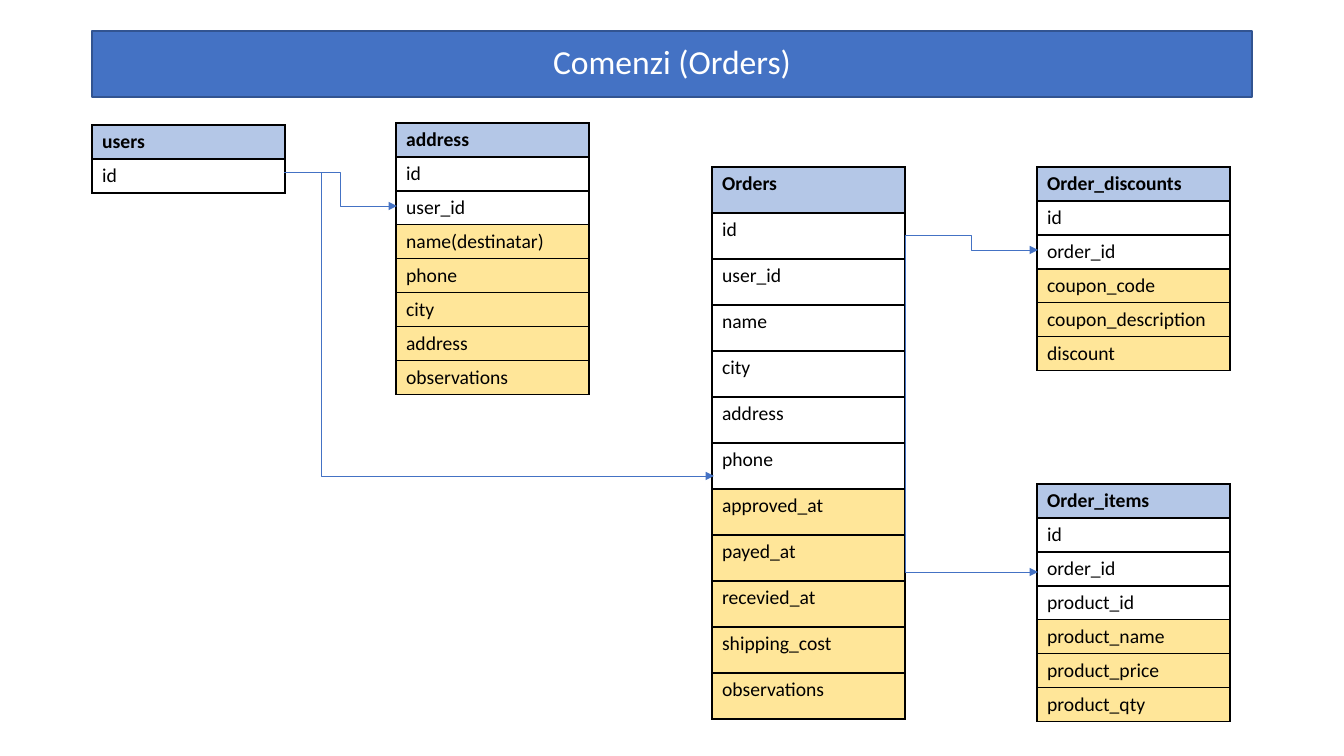
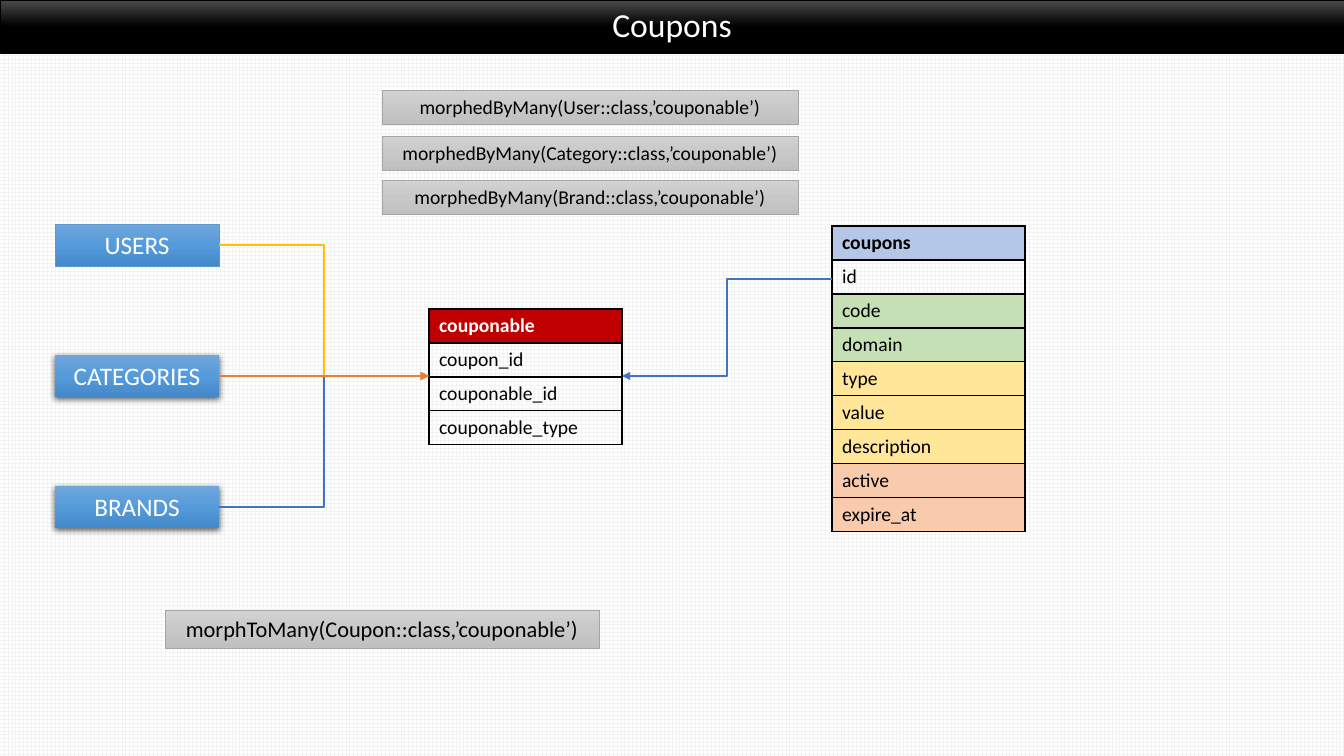
from copy import deepcopy
from lxml.etree import SubElement
from pptx import Presentation
from pptx.dml.color import RGBColor
from pptx.enum.dml import MSO_PATTERN
from pptx.enum.shapes import MSO_CONNECTOR, MSO_SHAPE
from pptx.enum.text import MSO_ANCHOR, MSO_AUTO_SIZE, PP_ALIGN
from pptx.oxml import parse_xml
from pptx.oxml.ns import nsdecls, qn
from pptx.util import Pt

PIXEL = 914400 / 100.8
FONT = "Calibri"
WHITE = RGBColor(0xFF, 0xFF, 0xFF)
BLACK = RGBColor(0x00, 0x00, 0x00)
GRID = RGBColor(0xF2, 0xF2, 0xF2)
BLUE = RGBColor(0x44, 0x72, 0xC4)
DARK_BLUE = RGBColor(0x32, 0x54, 0x91)
PALE_BLUE = RGBColor(0xB4, 0xC7, 0xE7)
SKY = RGBColor(0x5B, 0x9B, 0xD5)
YELLOW = RGBColor(0xFF, 0xE6, 0x99)
GREEN = RGBColor(0xC5, 0xE0, 0xB4)
PEACH = RGBColor(0xF8, 0xCB, 0xAD)
RED = RGBColor(0xC0, 0x00, 0x00)
GOLD = RGBColor(0xFF, 0xC0, 0x00)
ORANGE = RGBColor(0xED, 0x7D, 0x31)
GRAY = RGBColor(0xA5, 0xA5, 0xA5)
BLACK_FADE = (RGBColor(0x4B, 0x4B, 0x4B), BLACK, BLACK)
BLUE_FADE = (RGBColor(0x71, 0xA6, 0xDB), RGBColor(0x55, 0x9B, 0xDB), RGBColor(0x44, 0x8A, 0xCA))
GRAY_FADE = (RGBColor(0xD2, 0xD2, 0xD2), RGBColor(0xC8, 0xC8, 0xC8), RGBColor(0xC0, 0xC0, 0xC0))

ROW = 34
TABLE_WIDTH = 193

ORDER_TABLES = [
    (712, 167, 46, "Orders", [
        (None, ["id", "user_id", "name", "city", "address", "phone"]),
        (YELLOW, ["approved_at", "payed_at", "recevied_at", "shipping_cost", "observations"])]),
    (1037, 484, ROW, "Order_items", [
        (None, ["id", "order_id", "product_id"]),
        (YELLOW, ["product_name", "product_price", "product_qty"])]),
    (92, 125, ROW, "users", [(None, ["id"])]),
    (396, 123, ROW, "address", [
        (None, ["id", "user_id"]),
        (YELLOW, ["name(destinatar)", "phone", "city", "address", "observations"])]),
    (1037, 167, ROW, "Order_discounts", [
        (None, ["id", "order_id"]),
        (YELLOW, ["coupon_code", "coupon_description", "discount"])]),
]
ORDER_LINKS = [
    ((284, 172), (397, 206), 50000),
    ((284, 172), (714, 476), 8700),
    ((905, 235), (1038, 250), 50000),
    ((905, 236), (1038, 572), 0),
]

COUPON_TABLE = (832, 226, ROW, "coupons", [
    (None, ["id"]),
    (GREEN, ["code", "domain"]),
    (YELLOW, ["type", "value", "description"]),
    (PEACH, ["active", "expire_at"])])
PIVOT_TABLE = (429, 309, ROW, "couponable", [
    (None, ["coupon_id", "couponable_id", "couponable_type"])])
OWNERS = ["USERS", "CATEGORIES", "BRANDS"]
OWNER_LEFT, OWNER_TOP, OWNER_STEP = 55, 224, 131
OWNER_WIDTH, OWNER_HEIGHT = 164, 42
PIVOT_Y = 376
COUPON_LINKS = [
    ((219, 507), (429, PIVOT_Y), BLUE),
    ((219, 245), (429, PIVOT_Y), GOLD),
    ((832, 279), (622, PIVOT_Y), BLUE),
]
RELATIONS = [
    (165, 610, 434, 38, 16, "morphToMany(Coupon::class,’couponable’)"),
    (382, 90, 416, 34, 14, "morphedByMany(User::class,’couponable’)"),
    (382, 136, 416, 34, 14, "morphedByMany(Category::class,’couponable’)"),
    (382, 180, 416, 34, 14, "morphedByMany(Brand::class,’couponable’)"),
]


def px(*values):
    return [round(value * PIXEL) for value in values]


def write(frame, text, size, color, align=PP_ALIGN.LEFT, bold=False):
    para = frame.paragraphs[0]
    para.alignment = align
    span = para.add_run()
    span.text = text
    span.font.name = FONT
    span.font.size = Pt(size)
    span.font.bold = bold
    span.font.color.rgb = color
    return para


def fade(shape, colors):
    shape.fill.gradient()
    shape.fill.gradient_angle = 270
    stop_list = shape._element.spPr.find(qn("a:gradFill")).find(qn("a:gsLst"))
    stop_list.append(deepcopy(stop_list[-1]))
    for index, (stop, color) in enumerate(zip(shape.fill.gradient_stops, colors)):
        stop.position = index / 2
        stop.color.rgb = color


def outline(shape, color, width):
    shape.line.color.rgb = color
    shape.line.width = Pt(width)


def add_page(deck, text, bounds):
    page = deck.slides.add_slide(deck.slide_layouts[5])
    title = page.shapes.title
    title.left, title.top, title.width, title.height = px(*bounds)
    frame = title.text_frame
    frame.auto_size = MSO_AUTO_SIZE.NONE
    frame.vertical_anchor = MSO_ANCHOR.MIDDLE
    write(frame, text, 24, WHITE, PP_ALIGN.CENTER).line_spacing = 0.9
    return page, title


def add_box(page, bounds, text, size, color, colors):
    box = page.shapes.add_shape(MSO_SHAPE.RECTANGLE, *px(*bounds))
    box.shadow.inherit = False
    fade(box, colors)
    frame = box.text_frame
    frame.word_wrap = True
    frame.vertical_anchor = MSO_ANCHOR.TOP
    write(frame, text, size, color, PP_ALIGN.CENTER)
    return box


def add_shadow(box):
    effects = box._element.spPr.find(qn("a:effectLst"))
    effects.append(parse_xml(
        f'<a:outerShdw {nsdecls("a")} blurRad="{Pt(4.5)}" dist="{Pt(1.5)}" dir="5400000" '
        'algn="ctr" rotWithShape="0"><a:srgbClr val="000000"><a:alpha val="63000"/>'
        '</a:srgbClr></a:outerShdw>'))


def add_borders(cell):
    properties = cell._tc.get_or_add_tcPr()
    for index, side in enumerate(("lnL", "lnR", "lnT", "lnB")):
        properties.insert(index, parse_xml(
            f'<a:{side} {nsdecls("a")} w="{Pt(1)}"><a:solidFill>'
            f'<a:srgbClr val="{BLACK}"/></a:solidFill></a:{side}>'))


def add_entity(page, entity, header_fill=PALE_BLUE, header_color=BLACK):
    left, top, row_height, name, groups = entity
    rows = [(name, header_fill)] + [(field, fill) for fill, fields in groups for field in fields]
    bounds = px(left, top, TABLE_WIDTH, row_height * len(rows))
    table = page.shapes.add_table(len(rows), 1, *bounds).table
    table.first_row = table.horz_banding = False
    for index, (field, fill) in enumerate(rows):
        table.rows[index].height = px(row_height)[0]
        cell = table.cell(index, 0)
        if fill is None:
            cell.fill.background()
        else:
            cell.fill.solid()
            cell.fill.fore_color.rgb = fill
        add_borders(cell)
        header = index == 0
        write(cell.text_frame, field, 14, header_color if header else BLACK, bold=header)


def add_link(page, start, end, color, width, bend=None):
    kind = MSO_CONNECTOR.STRAIGHT if bend is None else MSO_CONNECTOR.ELBOW
    link = page.shapes.add_connector(kind, *px(*start, *end))
    outline(link, color, width)
    properties = link._element.spPr
    SubElement(link.line._get_or_add_ln(), qn("a:tailEnd"), type="triangle")
    SubElement(properties, qn("a:effectLst"))
    if bend is not None:
        adjustments = properties.find(qn("a:prstGeom")).get_or_add_avLst()
        SubElement(adjustments, qn("a:gd"), name="adj1", fmla=f"val {bend}")
    return link


def build_orders(deck):
    page, title = add_page(deck, "Comenzi (Orders)", (92, 31, 1160, 66))
    title.fill.solid()
    title.fill.fore_color.rgb = BLUE
    outline(title, DARK_BLUE, 1)
    for entity in ORDER_TABLES:
        add_entity(page, entity)
    for start, end, bend in ORDER_LINKS:
        add_link(page, start, end, BLUE, 0.5, bend)


def build_coupons(deck):
    page, title = add_page(deck, "Coupons", (0, 0, 1344, 53))
    fade(title, BLACK_FADE)
    outline(title, BLACK, 0.5)
    background = page.background.fill
    background.patterned()
    background.pattern = MSO_PATTERN.LARGE_GRID
    background.fore_color.rgb = GRID
    background.back_color.rgb = WHITE
    add_entity(page, COUPON_TABLE)
    owners = {}
    for index, name in enumerate(OWNERS):
        bounds = (OWNER_LEFT, OWNER_TOP + index * OWNER_STEP, OWNER_WIDTH, OWNER_HEIGHT)
        box = add_box(page, bounds, name, 18, WHITE, BLUE_FADE)
        if index == 0:
            outline(box, SKY, 0.5)
        else:
            box.line.fill.background()
            add_shadow(box)
        owners[name] = box
    add_entity(page, PIVOT_TABLE, RED, WHITE)
    for start, end, color in COUPON_LINKS:
        add_link(page, start, end, color, 1, 50000)
    link = add_link(page, (219, PIVOT_Y), (429, PIVOT_Y), ORANGE, 1)
    link.begin_connect(owners["CATEGORIES"], 3)
    for *bounds, size, text in RELATIONS:
        outline(add_box(page, bounds, text, size, BLACK, GRAY_FADE), GRAY, 0.5)


def main():
    deck = Presentation()
    deck.slide_width, deck.slide_height = px(1344, 756)
    build_orders(deck)
    build_coupons(deck)
    deck.save("out.pptx")


if __name__ == "__main__":
    main()
